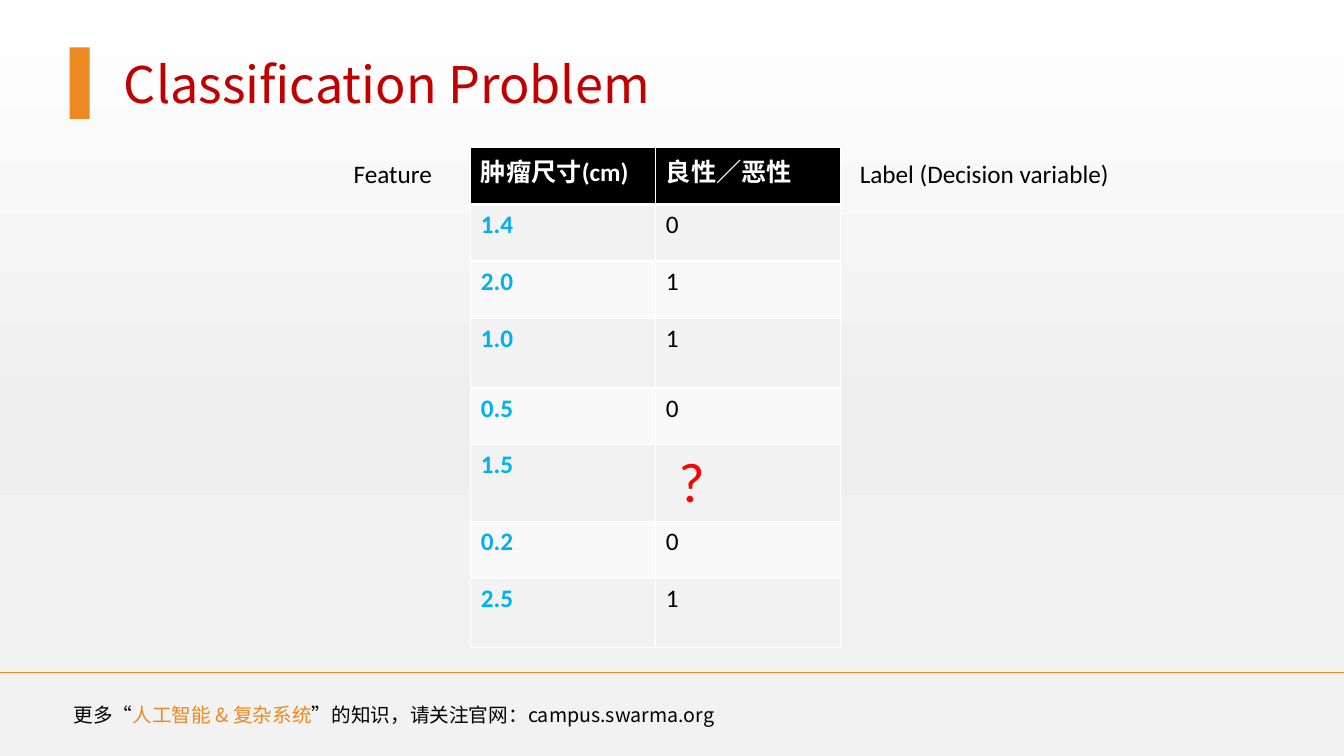
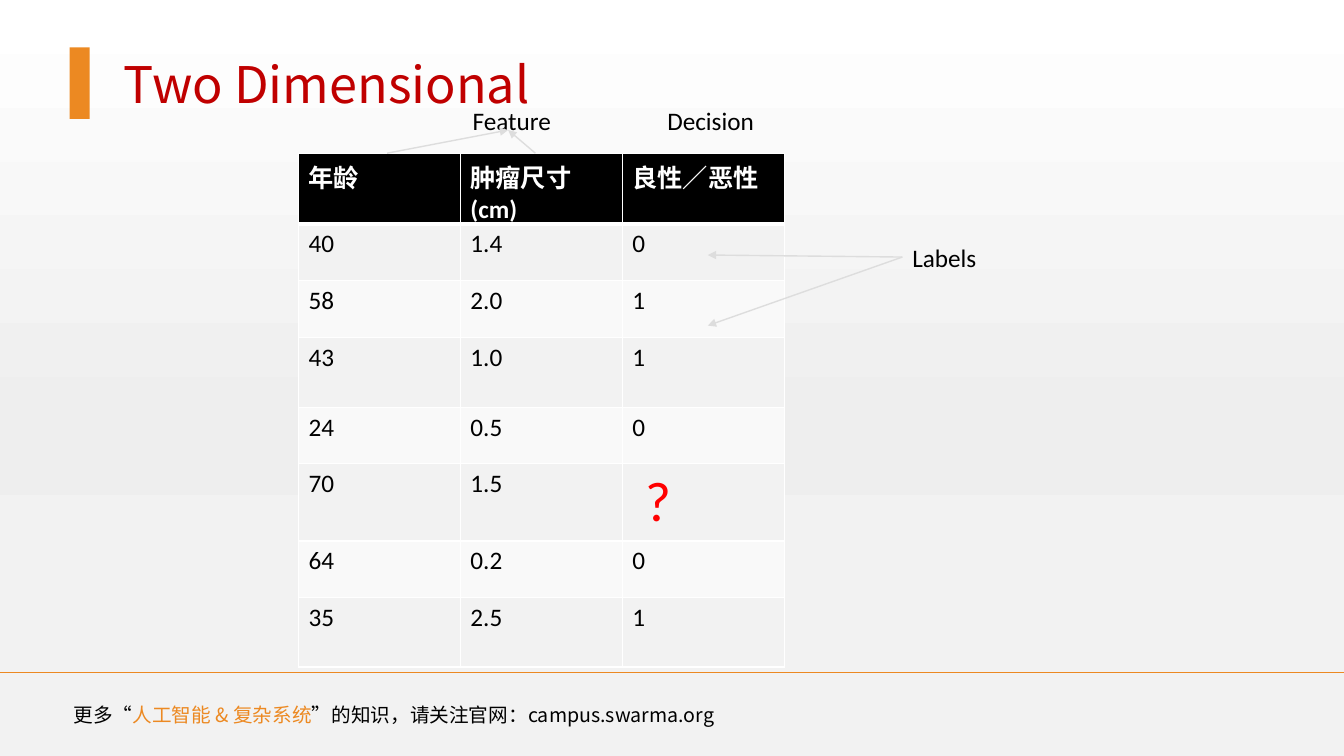
from lxml import etree
from pptx import Presentation
from pptx.dml.color import RGBColor
from pptx.enum import shapes, text
from pptx.oxml.ns import qn
from pptx.util import Inches, Pt

WIDTH, HEIGHT = 13.33, 7.5
CJK, LATIN = "Noto Sans CJK SC", "Calibri"
BLACK, WHITE, RED, TITLE_RED = "000000", "FFFFFF", "FF0000", "C00000"
ORANGE, CYAN, ARROW_GREY = "EC8922", "00B0F0", "DDDDDD"
BANDS = ("F2F2F2", "F9F9F9")
BACKDROP = [(0, "FFFFFF"), (57, "EEEEEE"), (74, "F2F2F2"), (100, "F2F2F2")]
ROW_HEIGHTS = [0.57, 0.56, 0.57, 0.69, 0.56, 0.69, 0.56, 0.69]

# Table contents
AGES = ["年龄", "40", "58", "43", "24", "70", "64", "35"]
SIZES = ["肿瘤尺寸(cm)", "1.4", "2.0", "1.0", "0.5", "1.5", "0.2", "2.5"]
CLASSES = ["良性／恶性", "0", "1", "1", "0", " ?", "0", "1"]


def rgb(value):
    return RGBColor.from_string(value)


def add_run(p, words, size=18, color=BLACK, latin=LATIN, bold=False):
    r = p.add_run()
    r.text = words
    r.font.size, r.font.bold, r.font.name = Pt(size), bold, latin
    r.font.color.rgb = rgb(color)
    etree.SubElement(r.font._element, qn("a:ea"), typeface=CJK)


def add_text(s, box, runs, **style):
    """Place one line of (words, colour) runs, centred vertically in the box."""
    tf = s.shapes.add_textbox(*map(Inches, box)).text_frame
    tf.word_wrap = True
    tf.vertical_anchor = text.MSO_ANCHOR.MIDDLE
    tf.margin_top = tf.margin_bottom = 0
    for words, color in runs:
        add_run(tf.paragraphs[0], words, color=color, **style)


def add_rectangle(s, box):
    sp = s.shapes.add_shape(shapes.MSO_SHAPE.RECTANGLE, *map(Inches, box))
    sp.shadow.inherit = False
    sp.line.fill.background()
    return sp


def add_line(s, start, end, color, arrow=False):
    line = s.shapes.add_connector(shapes.MSO_CONNECTOR.STRAIGHT,
                                  *map(Inches, (*start, *end)))
    line.line.color.rgb = rgb(color)
    line.line.width = Pt(1)
    if arrow:
        etree.SubElement(line.line._get_or_add_ln(), qn("a:tailEnd"), type="triangle")
    etree.SubElement(line._element.spPr, qn("a:effectLst"))


def add_backdrop(s, box):
    """Cover the box with the top-to-bottom gradient."""
    sp = add_rectangle(s, box)
    sp.fill.gradient()
    sp.fill.gradient_angle = 270
    stops = sp._element.find(".//" + qn("a:gsLst"))
    for stop in list(stops):
        stops.remove(stop)
    for percent, color in BACKDROP:
        stop = etree.SubElement(stops, qn("a:gs"), pos=str(percent * 1000))
        etree.SubElement(stop, qn("a:srgbClr"), val=color)


def add_title(s, box, words):
    x, y, w, h = box
    bar = add_rectangle(s, (x, y, 0.2, h))
    bar.fill.solid()
    bar.fill.fore_color.rgb = rgb(ORANGE)
    add_text(s, (x + 0.44, y, w - 0.44, h), [(words, TITLE_RED)], size=36, latin=CJK)


def add_footer(s, box):
    x, y, w, h = box
    add_line(s, (x, y), (x + w, y), ORANGE)
    runs = [("更多“", BLACK), ("人工智能 & 复杂系统", ORANGE),
            ("”的知识，请关注官网：campus.swarma.org", BLACK)]
    add_text(s, (x + 0.63, y + 0.25, 7.85, 0.34), runs, size=14, latin=CJK)


def set_borders(cell, top, bottom):
    tcPr = cell._tc.get_or_add_tcPr()
    for side, points in (("L", 1), ("R", 1), ("T", top), ("B", bottom)):
        ln = etree.SubElement(tcPr, qn("a:ln" + side), w=str(Pt(points)))
        fill = etree.SubElement(ln, qn("a:solidFill"))
        etree.SubElement(fill, qn("a:srgbClr"), val=WHITE)


def cell_style(row, col, words, highlight):
    if row == 0:
        return dict(color=WHITE, bold=True)
    if "?" in words:
        return dict(color=RED, size=40)
    if col == highlight:
        return dict(color=CYAN, bold=True)
    return {}


def add_data_table(s, box, columns, highlight=None):
    """Fill a table column by column; highlight is the index of a blue column."""
    x, y, w = box
    rows = len(ROW_HEIGHTS)
    table = s.shapes.add_table(rows, len(columns), *map(
        Inches, (x, y, w, sum(ROW_HEIGHTS)))).table
    for row, height in zip(table.rows, ROW_HEIGHTS):
        row.height = Inches(height)
    for c, column in enumerate(columns):
        table.columns[c].width = Inches(w / len(columns))
        for r, words in enumerate(column):
            cell = table.cell(r, c)
            set_borders(cell, 3 if r == 1 else 1, 3 if r == 0 else 1)
            cell.fill.solid()
            cell.fill.fore_color.rgb = rgb(BANDS[(r - 1) % 2] if r else BLACK)
            add_run(cell.text_frame.paragraphs[0], words,
                    **cell_style(r, c, words, highlight))


def add_label(s, x, y, w, words):
    add_text(s, (x, y, w, 0.4), [(words, BLACK)])


def new_slide(prs, title):
    s = prs.slides.add_slide(prs.slide_layouts[6])
    add_backdrop(s, (0, 0, WIDTH, HEIGHT))
    add_title(s, (0.69, 0.47, 8.45, 0.71), title)
    add_footer(s, (0, 6.67, WIDTH, HEIGHT - 6.67))
    return s


def classification_slide(prs):
    s = new_slide(prs, "Classification Problem")
    x, y, w = 4.67, 1.46, 3.67
    add_data_table(s, (x, y, w), [SIZES, CLASSES], highlight=0)
    add_label(s, x - 1.26, y + 0.06, 1.9, "Feature")
    add_label(s, x + w + 0.09, y + 0.06, 3.04, "Label (Decision variable)")


def two_dimensional_slide(prs):
    s = new_slide(prs, "Two Dimensional")
    x, y, w = 2.96, 1.52, 4.82
    add_data_table(s, (x, y, w), [AGES, SIZES, CLASSES])
    # Column captions
    add_label(s, x + 1.63, y - 0.53, 1.9, "Feature")
    add_label(s, x + 3.56, y - 0.53, 1.95, "Decision")
    for dx in (0.88, 2.35):
        add_line(s, (x + dx, y), (x + 2.08, y - 0.23), ARROW_GREY, arrow=True)
    # Class labels
    labels_x, labels_y = x + w + 1.17, y + 1.03
    add_label(s, labels_x, labels_y - 0.2, 1.12, "Labels")
    for dy in (1.01, 1.71):
        add_line(s, (labels_x, labels_y), (x + 4.06, y + dy), ARROW_GREY, arrow=True)


def main():
    prs = Presentation()
    prs.slide_width, prs.slide_height = Inches(WIDTH), Inches(HEIGHT)
    classification_slide(prs)
    two_dimensional_slide(prs)
    prs.save("out.pptx")


if __name__ == "__main__":
    main()
